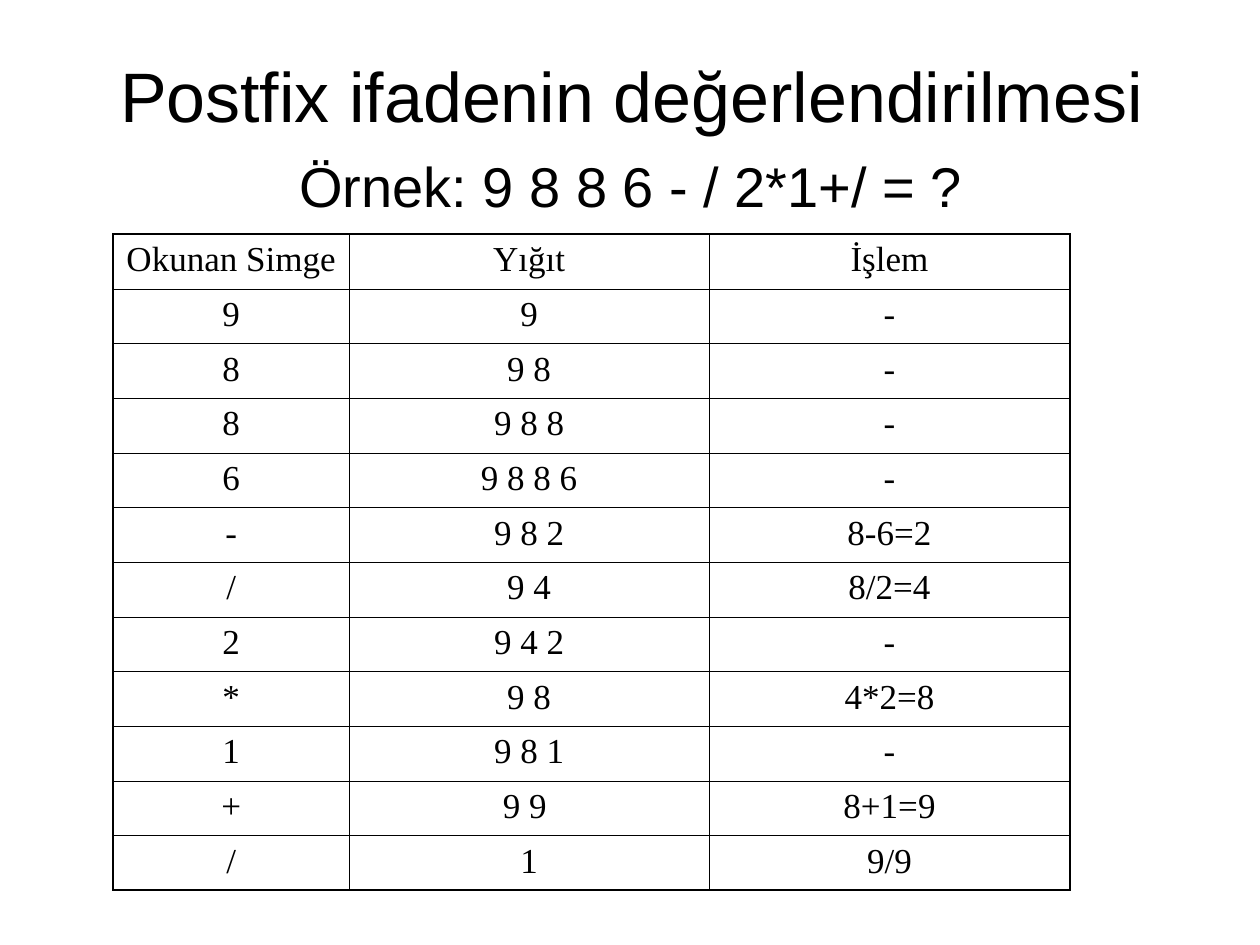
import pptx
import pptx.util
import pptx.dml.color
import pptx.enum.text
import pptx.oxml
import pptx.oxml.ns

Inches, Pt = pptx.util.Inches, pptx.util.Pt
ANCHOR = pptx.enum.text.MSO_ANCHOR

# Content
BLACK = "000000"
HEADINGS = [
    ("Postfix ifadenin değerlendirilmesi", 40, (0.51, 0.13, 9, 1.24), ANCHOR.MIDDLE),
    ("Örnek: 9 8 8 6 - / 2*1+/ = ?", 32, (0.51, 1.15, 9, 0.7), ANCHOR.TOP),
]
STEPS = [
    ("Okunan Simge", "Yığıt", "İşlem"),
    ("9", "9", "-"),
    ("8", "9 8", "-"),
    ("8", "9 8 8", "-"),
    ("6", "9 8 8 6", "-"),
    ("-", "9 8 2", "8-6=2"),
    ("/", "9 4", "8/2=4"),
    ("2", "9 4 2", "-"),
    ("*", "9 8", "4*2=8"),
    ("1", "9 8 1", "-"),
    ("+", "9 9 ", "8+1=9"),
    ("/", "1", "9/9"),
]
COL_WIDTHS = [1.87, 2.86, 2.86]
TABLE_LEFT, TABLE_TOP, TABLE_HEIGHT = 0.9, 1.86, 5.2
CELL_MARGIN = 0.09
OUTER, INNER = 1.25, 0.45


def rgb(value):
    return pptx.dml.color.RGBColor.from_string(value)


def write(tf, text, size=20, font="Times New Roman", color=BLACK):
    p = tf.paragraphs[0]
    p.alignment = pptx.enum.text.PP_ALIGN.CENTER
    r = p.add_run()
    r.text = text
    r.font.size = Pt(size)
    r.font.name = font
    r.font.color.rgb = rgb(color)


def set_border(cell, side, width, color=BLACK):
    ns = pptx.oxml.ns.nsdecls("a")
    line = pptx.oxml.parse_xml(
        f'<a:ln{side} {ns} w="{Pt(width)}"><a:solidFill>'
        f'<a:srgbClr val="{color}"/></a:solidFill></a:ln{side}>')
    cell._tc.get_or_add_tcPr().append(line)


prs = pptx.Presentation()
prs.slide_width, prs.slide_height = Inches(10), Inches(7.5)
s = prs.slides.add_slide(prs.slide_layouts[6])

# Title and example expression
for text, size, box, anchor in HEADINGS:
    tf = s.shapes.add_textbox(*map(Inches, box)).text_frame
    tf.word_wrap = True
    tf.vertical_anchor = anchor
    write(tf, text, size=size, font="Arial")

# Evaluation table
rows, cols = len(STEPS), len(COL_WIDTHS)
table = s.shapes.add_table(
    rows, cols, Inches(TABLE_LEFT), Inches(TABLE_TOP),
    Inches(sum(COL_WIDTHS)), Inches(TABLE_HEIGHT)).table
table.first_row = table.horz_banding = False
for column, width in zip(table.columns, COL_WIDTHS):
    column.width = Inches(width)

for i, step in enumerate(STEPS):
    table.rows[i].height = Inches(TABLE_HEIGHT / rows)
    for j, text in enumerate(step):
        cell = table.cell(i, j)
        cell.margin_left = cell.margin_right = Inches(CELL_MARGIN)
        write(cell.text_frame, text)
        on_edge = {"L": j == 0, "R": j == cols - 1, "T": i == 0, "B": i == rows - 1}
        for side, outer in on_edge.items():
            set_border(cell, side, OUTER if outer else INNER)
        cell.fill.background()

prs.save("out.pptx")
